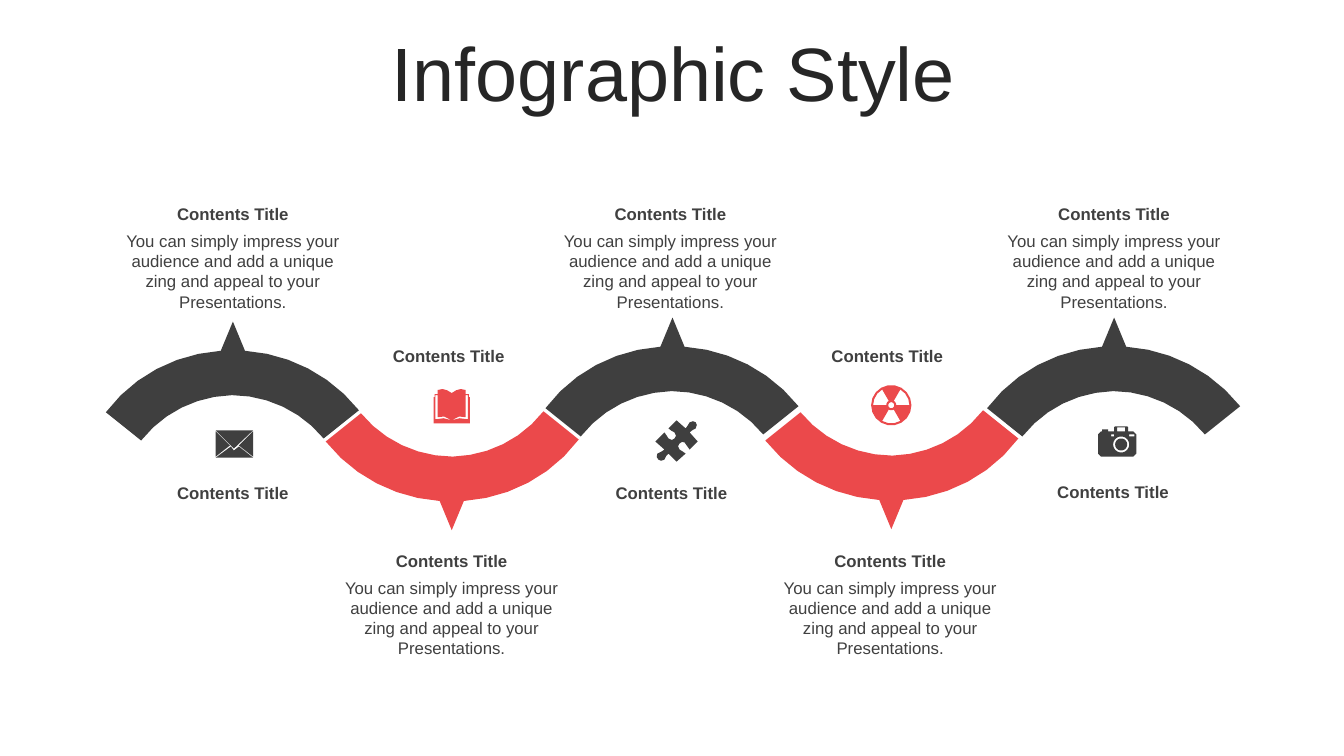
from math import cos, radians, sin

from pptx import Presentation
from pptx.dml.color import RGBColor
from pptx.enum.text import MSO_ANCHOR, MSO_AUTO_SIZE, PP_ALIGN
from pptx.util import Inches, Pt

CENTER = PP_ALIGN.CENTER
MIDDLE = MSO_ANCHOR.MIDDLE
GROW = MSO_AUTO_SIZE.SHAPE_TO_FIT_TEXT
NO_FIT = MSO_AUTO_SIZE.NONE

DARK = RGBColor(0x3F, 0x3F, 0x3F)
RED = RGBColor(0xEB, 0x49, 0x4B)
TEXT = RGBColor(0x40, 0x40, 0x40)
TITLE = RGBColor(0x26, 0x26, 0x26)
FONT = "Arial"
WAVE_STEPS = 6
ICON_STEPS = 2

HEADING = "Contents Title"
DESCRIPTION = ("You can simply impress your audience and add a unique zing "
               "and appeal to your Presentations.")


def arc(cx, cy, radius, start=0, end=340):
    return [(cx + radius * cos(radians(a)), cy + radius * sin(radians(a)))
            for a in range(start, end + 1, 20)]


def box(left, top, right, bottom):
    return [(left, top), (right, top), (right, bottom), (left, bottom)]


def mirror(contour, width):
    return [tuple(width - v if i % 2 == 0 else v for i, v in enumerate(point))
            for point in contour]


def sector(angle):
    outer = arc(0.2, 0.2, 0.18, angle - 30, angle + 30)
    inner = arc(0.2, 0.2, 0.05, angle - 30, angle + 30)
    return outer + inner[::-1]


WAVE = [[(1.26, 0), (1.38, 0.29), (1.82, 0.32, 2.23, 0.53, 2.51, 0.88),
         (2.16, 1.16), (1.94, 0.89, 1.6, 0.73, 1.25, 0.73),
         (0.9, 0.74, 0.57, 0.9, 0.35, 1.18), (0, 0.9),
         (0.27, 0.54, 0.69, 0.32, 1.14, 0.29)]]

ENVELOPE = [[(0.23, 0.16), (0.37, 0.27), (0, 0.27), (0.15, 0.16), (0.18, 0.2)],
            [(0.37, 0.01), (0.37, 0.26), (0.23, 0.15)],
            [(0, 0.01), (0.14, 0.15), (0, 0.26)],
            [(0, 0), (0.37, 0), (0.18, 0.18)]]

PAGE_EDGE = [(0.18, 0.31), (0.13, 0.27, 0.08, 0.26, 0.04, 0.28), (0.04, 0.06),
             (0.02, 0.06), (0.02, 0.3), (0.08, 0.28, 0.12, 0.29, 0.18, 0.31)]
BOOK = [[(0, 0.34), (0, 0.08), (0.01, 0.08), (0.01, 0.05), (0.04, 0.05),
         (0.04, 0.01), (0.09, 0), (0.12, 0, 0.15, 0.02, 0.18, 0.04),
         (0.21, 0.02, 0.24, 0, 0.27, 0), (0.32, 0.01), (0.32, 0.05),
         (0.35, 0.05), (0.35, 0.08), (0.36, 0.08), (0.36, 0.34)],
        PAGE_EDGE, mirror(PAGE_EDGE, 0.36)]

PUZZLE = [[(0.4, 0.02), (0.41, 0.03, 0.42, 0.06, 0.4, 0.08),
           (0.38, 0.1, 0.36, 0.09, 0.34, 0.12), (0.42, 0.21), (0.34, 0.29),
           (0.31, 0.27, 0.32, 0.24, 0.29, 0.22),
           (0.28, 0.21, 0.25, 0.21, 0.24, 0.23),
           (0.22, 0.24, 0.22, 0.27, 0.24, 0.29),
           (0.26, 0.31, 0.27, 0.3, 0.3, 0.33), (0.21, 0.41), (0.13, 0.33),
           (0.1, 0.35, 0.11, 0.36, 0.09, 0.39),
           (0.07, 0.41, 0.04, 0.4, 0.03, 0.39),
           (0.01, 0.38, 0.01, 0.35, 0.02, 0.33),
           (0.04, 0.31, 0.07, 0.32, 0.09, 0.29), (0, 0.21), (0.09, 0.12),
           (0.12, 0.14, 0.11, 0.17, 0.13, 0.18),
           (0.15, 0.2, 0.18, 0.2, 0.19, 0.18),
           (0.21, 0.17, 0.21, 0.14, 0.19, 0.12),
           (0.16, 0.1, 0.16, 0.11, 0.13, 0.08), (0.21, 0), (0.3, 0.08),
           (0.33, 0.06, 0.31, 0.05, 0.34, 0.02),
           (0.36, 0, 0.39, 0.01, 0.4, 0.02)]]

RADIATION = [arc(0.2, 0.2, 0.2), arc(0.2, 0.2, 0.03)]
RADIATION += [sector(angle) for angle in (90, 210, 330)]

CAMERA = [[(0.17, 0), (0.29, 0), (0.3, 0.01), (0.3, 0.05), (0.35, 0.05),
           (0.38, 0.08), (0.38, 0.27), (0.35, 0.3), (0.03, 0.3), (0, 0.27),
           (0, 0.08), (0.03, 0.05), (0.04, 0.05), (0.04, 0.03),
           (0.1, 0.03), (0.1, 0.05), (0.16, 0.05), (0.16, 0.01)],
          arc(0.23, 0.18, 0.08), arc(0.23, 0.18, 0.06),
          box(0.13, 0.08, 0.16, 0.1), box(0.31, 0.08, 0.36, 0.1),
          box(0.19, 0.01, 0.27, 0.05)]

WAVES = [(1.05, 3.19), (3.23, 4.08), (5.41, 3.15), (7.59, 4.07), (9.79, 3.15)]
CAPTIONS = [(1.09, 1.97), (3.26, 5.41), (5.43, 1.97), (7.61, 5.41), (9.83, 1.97)]
LABELS = [(1.6, 4.74), (3.74, 3.38), (5.95, 4.74), (8.09, 3.38), (10.33, 4.73)]
ICONS = [(2.14, 4.27, ENVELOPE), (4.3, 3.86, BOOK), (6.5, 4.17, PUZZLE),
         (8.64, 3.82, RADIATION), (10.89, 4.23, CAMERA)]


def flatten(contour, steps):
    points = []
    for item in contour:
        if len(item) == 2:
            points.append(item)
            continue
        x0, y0 = points[-1]
        x1, y1, x2, y2, x3, y3 = item
        for i in range(1, steps + 1):
            t = i / steps
            a, b, c, d = (1 - t) ** 3, 3 * t * (1 - t) ** 2, 3 * t * t * (1 - t), t ** 3
            points.append((a * x0 + b * x1 + c * x2 + d * x3,
                           a * y0 + b * y1 + c * y2 + d * y3))
    return [(Inches(x), Inches(y)) for x, y in points]


def add_outline(shapes, left, top, contours, color, steps):
    first, *others = [flatten(contour, steps) for contour in contours]
    builder = shapes.build_freeform(*first[0], scale=1.0)
    builder.add_line_segments(first[1:], close=True)
    for points in others:
        builder.move_to(*points[0])
        builder.add_line_segments(points[1:], close=True)
    sp = builder.convert_to_shape(Inches(left), Inches(top))
    sp.shadow.inherit = False
    sp.fill.solid()
    sp.fill.fore_color.rgb = color
    sp.line.fill.background()
    return sp


def add_run(p, text, size, color, bold=False):
    p.alignment = CENTER
    r = p.add_run()
    r.text = text
    r.font.name = FONT
    r.font.size = Pt(size)
    r.font.color.rgb = color
    r.font.bold = bold


def add_text(shapes, left, top, width, height, text, bold=False):
    tf = shapes.add_textbox(Inches(left), Inches(top),
                            Inches(width), Inches(height)).text_frame
    tf.word_wrap = True
    tf.auto_size = GROW
    add_run(tf.paragraphs[0], text, 12, TEXT, bold)


def add_title(s, left, top, width, height):
    title = s.shapes.title
    title.left, title.top = Inches(left), Inches(top)
    title.width, title.height = Inches(width), Inches(height)
    tf = title.text_frame
    tf.auto_size = NO_FIT
    tf.vertical_anchor = MIDDLE
    p = tf.paragraphs[0]
    p.line_spacing = 0.9
    add_run(p, "Infographic Style", 54, TITLE)


def add_ribbon(s, positions):
    ribbon = s.shapes.add_group_shape()
    for i, (left, top) in enumerate(positions):
        color = RED if i % 2 else DARK
        wave = add_outline(ribbon.shapes, left, top, WAVE, color, WAVE_STEPS)
        wave.rotation = 180 if i % 2 else 0


def add_caption(s, left, top):
    caption = s.shapes.add_group_shape()
    add_text(caption.shapes, left, top + 0.27, 2.44, 0.91, DESCRIPTION)
    add_text(caption.shapes, left, top, 2.44, 0.3, HEADING, bold=True)


def main():
    prs = Presentation()
    prs.slide_width, prs.slide_height = Inches(13.33), Inches(7.5)
    s = prs.slides.add_slide(prs.slide_layouts[5])
    add_title(s, 0.35, 0.37, 12.66, 0.79)
    add_ribbon(s, WAVES)
    for left, top in CAPTIONS:
        add_caption(s, left, top)
    for left, top in LABELS:
        add_text(s.shapes, left, top, 1.42, 0.3, HEADING, bold=True)
    for i, (left, top, icon) in enumerate(ICONS):
        add_outline(s.shapes, left, top, icon, RED if i % 2 else DARK, ICON_STEPS)
    prs.save("out.pptx")


if __name__ == "__main__":
    main()
